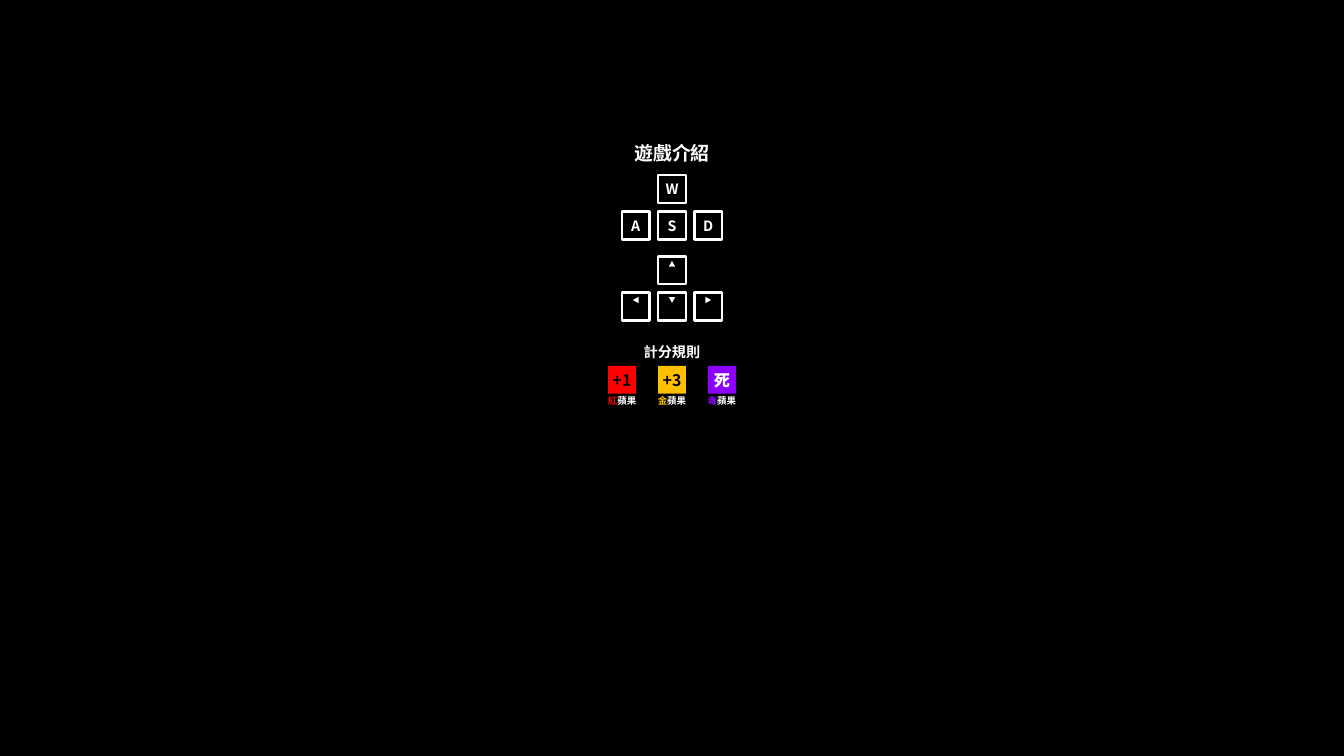
from lxml.etree import SubElement
from pptx import Presentation
from pptx.dml.color import RGBColor
from pptx.enum.shapes import MSO_SHAPE
from pptx.enum.text import MSO_ANCHOR, MSO_AUTO_SIZE, PP_ALIGN
from pptx.oxml.ns import qn
from pptx.util import Inches, Pt

BLACK = RGBColor(0x00, 0x00, 0x00)
WHITE = RGBColor(0xFF, 0xFF, 0xFF)
RED = RGBColor(0xFF, 0x00, 0x00)
GOLD = RGBColor(0xFF, 0xC0, 0x00)
PURPLE = RGBColor(0x8B, 0x00, 0xFF)

CENTER = 11.85
TILE = 0.49
KEY_STEP = 0.64
APPLE_STEP = 0.88
KEY_PLACES = [(0, 0), (-1, 1), (0, 1), (1, 1)]


class GameSlide:
    font_name = "Noto Sans CJK JP"

    def __init__(self, presentation):
        self.slide = presentation.slides.add_slide(presentation.slide_layouts[6])
        background = self.slide.background.fill
        background.solid()
        background.fore_color.rgb = BLACK

    def add_runs(self, frame, runs, size, outlined=False):
        paragraph = frame.paragraphs[0]
        paragraph.alignment = PP_ALIGN.CENTER
        for text, color in runs:
            run = paragraph.add_run()
            run.text = text
            for name, value in {"name": self.font_name, "size": Pt(size), "bold": True}.items():
                setattr(run.font, name, value)
            run.font.color.rgb = color
            properties = run._r.get_or_add_rPr()
            SubElement(properties, qn("a:ea"), typeface=self.font_name)
            if outlined:
                outline = SubElement(properties, qn("a:ln"), w=str(Pt(0.75)))
                fill = SubElement(outline, qn("a:solidFill"))
                SubElement(fill, qn("a:srgbClr"), val=str(color))
                properties.insert(0, outline)

    def text(self, center, top, width, height, runs, size):
        shape = self.slide.shapes.add_textbox(
            Inches(center - width / 2), Inches(top), Inches(width), Inches(height))
        frame = shape.text_frame
        frame.word_wrap = True
        frame.auto_size = MSO_AUTO_SIZE.SHAPE_TO_FIT_TEXT
        self.add_runs(frame, runs, size)

    def shape(self, kind, center, top, width, height, fill=None, line=None):
        shape = self.slide.shapes.add_shape(
            kind, Inches(center - width / 2), Inches(top), Inches(width), Inches(height))
        shape.shadow.inherit = False
        if fill is None:
            shape.fill.background()
        else:
            shape.fill.solid()
            shape.fill.fore_color.rgb = fill
        if line is None:
            shape.line.fill.background()
        else:
            shape.line.color.rgb = line
            shape.line.width = Pt(3)
        return shape

    def tile(self, center, top, text="", size=18, color=WHITE, fill=None, line=None):
        shape = self.shape(MSO_SHAPE.RECTANGLE, center, top, TILE, TILE, fill, line)
        frame = shape.text_frame
        settings = {"margin_left": 0, "margin_right": 0, "margin_top": 0,
                    "margin_bottom": 0, "vertical_anchor": MSO_ANCHOR.MIDDLE}
        for name, value in settings.items():
            setattr(frame, name, value)
        if text:
            self.add_runs(frame, [(text, color)], size, outlined=fill is not None)

    def arrow(self, center, top, rotation):
        shape = self.shape(MSO_SHAPE.ISOSCELES_TRIANGLE, center, top, 0.11, 0.1, fill=WHITE)
        shape.rotation = rotation

    def letter_keys(self, top, letters):
        for (column, row), letter in zip(KEY_PLACES, letters):
            self.tile(CENTER + column * KEY_STEP, top + row * KEY_STEP, letter, line=WHITE)

    def arrow_keys(self, top, rotations):
        for (column, row), rotation in zip(KEY_PLACES, rotations):
            center = CENTER + column * KEY_STEP
            key_top = top + row * KEY_STEP
            self.tile(center, key_top, line=WHITE)
            self.arrow(center, key_top + 0.08, rotation)

    def apple(self, center, score, score_color, name, color):
        self.tile(center, 6.45, score, 20.2, score_color, fill=color)
        self.text(center, 6.92, 0.76, 0.3, [(name, color), ("蘋果", WHITE)], 12)


def main():
    presentation = Presentation()
    presentation.slide_width = Inches(23.7)
    presentation.slide_height = Inches(13.33)
    game = GameSlide(presentation)
    game.text(CENTER, 2.44, 3.05, 0.5, [("遊戲介紹", WHITE)], 24)
    game.letter_keys(3.09, "WASD")
    game.arrow_keys(4.52, [0, 270, 180, 90])
    game.text(CENTER, 6, 1.96, 0.4, [("計分規則", WHITE)], 18)
    apples = [("+1", BLACK, "紅", RED), ("+3", BLACK, "金", GOLD), ("死", WHITE, "毒", PURPLE)]
    for column, apple in enumerate(apples, start=-1):
        game.apple(CENTER + column * APPLE_STEP, *apple)
    presentation.save("out.pptx")


if __name__ == "__main__":
    main()
